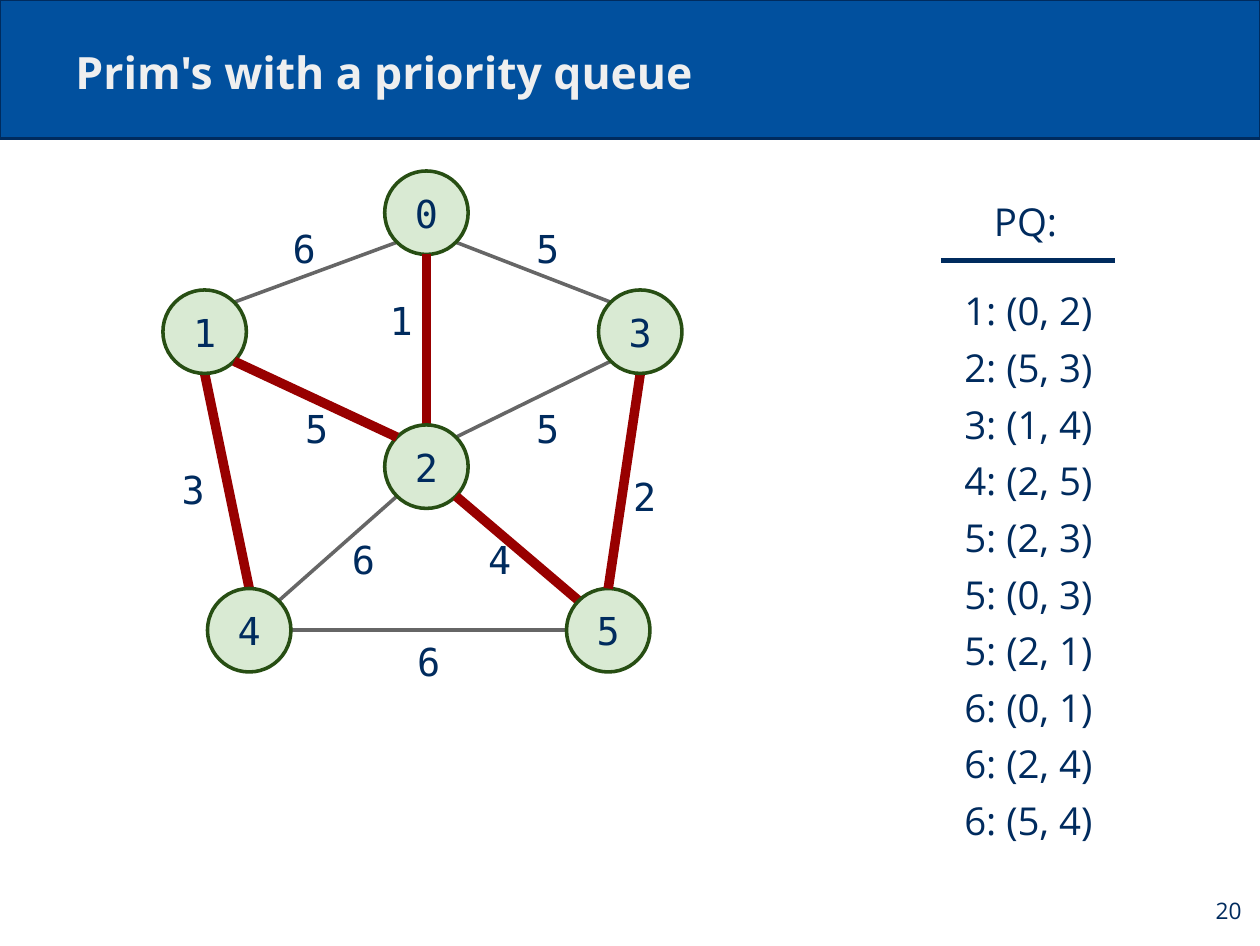
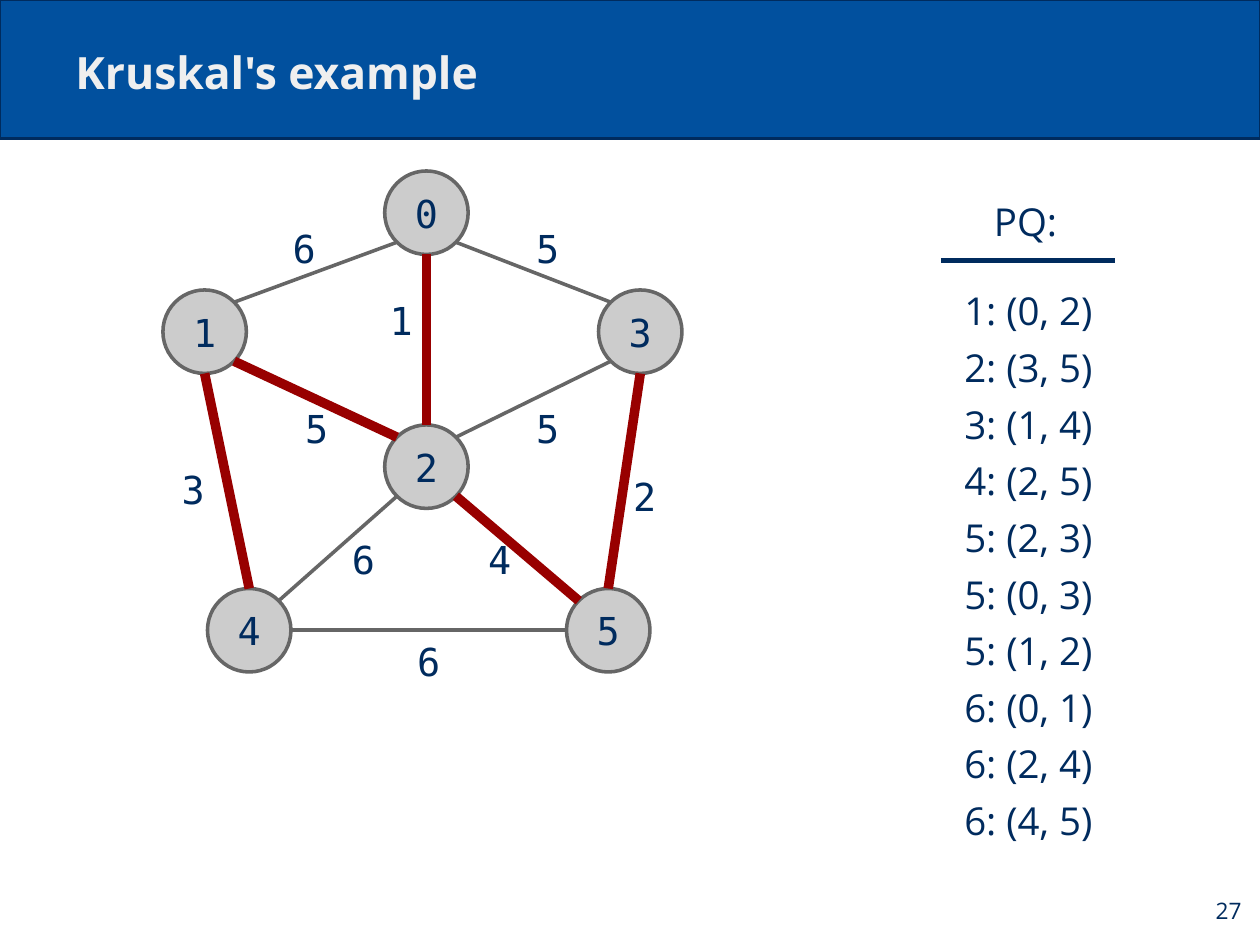
from dataclasses import dataclass

from lxml import etree
from pptx import Presentation
from pptx.dml.color import RGBColor
from pptx.enum import shapes, text
from pptx.oxml.ns import qn
from pptx.util import Inches, Pt


@dataclass(frozen=True)
class Theme:
    band: str = "01509E"
    navy: str = "002B5E"
    title: str = "EFEFEF"
    edge: str = "666666"
    tree: str = "980000"
    sans: str = "Open Sans"
    mono: str = "DejaVu Sans Mono"
    title_size: float = 28
    text_size: float = 24.2
    number_size: float = 14.3
    band_line: float = 1.5
    thin: float = 2.25
    rule: float = 3
    thick: float = 6


THEME = Theme()
WIDTH, HEIGHT = 11.02, 8.27
INSET = 0.11
DIAMETER = 0.73

# Centre of each node
NODES = {
    0: (3.73, 1.86), 1: (1.79, 2.9), 2: (3.73, 4.08),
    3: (5.6, 2.9), 4: (2.18, 5.51), 5: (5.32, 5.51),
}
DIAGONAL = 0.5 ** 0.5
SITES = {
    "N": (0, -1), "S": (0, 1), "W": (-1, 0), "E": (1, 0),
    "NW": (-DIAGONAL, -DIAGONAL), "NE": (DIAGONAL, -DIAGONAL),
    "SW": (-DIAGONAL, DIAGONAL), "SE": (DIAGONAL, DIAGONAL),
}
# Edge: (site on first node, site on second node, weight, centre of weight)
EDGES = {
    (0, 1): ("SW", "NE", 6, (2.66, 2.17)),
    (0, 3): ("SE", "NW", 5, (4.79, 2.17)),
    (0, 2): ("S", "N", 1, (3.51, 2.8)),
    (1, 2): ("SE", "NW", 5, (2.77, 3.74)),
    (2, 3): ("NE", "SW", 5, (4.79, 3.74)),
    (1, 4): ("S", "N", 3, (1.69, 4.28)),
    (3, 5): ("S", "N", 2, (5.64, 4.34)),
    (2, 5): ("SE", "NW", 4, (4.37, 4.89)),
    (2, 4): ("SW", "NE", 6, (3.18, 4.89)),
    (4, 5): ("E", "W", 6, (3.75, 5.78)),
}

# "drawn" lists nodes and tree edges from back to front
SLIDES = [
    {
        "title": "Prim's with a priority queue",
        "number": 20,
        "node_colors": ("D9EAD3", "274E13"),
        "drawn": [0, (0, 2), 2, (2, 5), 5, (3, 5), 3, (1, 4), 4, 1, (1, 2)],
        "queue": ["1: (0, 2)", "2: (5, 3)", "3: (1, 4)", "4: (2, 5)", "5: (2, 3)",
                  "5: (0, 3)", "5: (2, 1)", "6: (0, 1)", "6: (2, 4)", "6: (5, 4)"],
    },
    {
        "title": "Kruskal's example",
        "number": 27,
        "node_colors": ("CCCCCC", "666666"),
        "drawn": [0, 1, 3, 2, 4, 5, (0, 2), (3, 5), (1, 4), (2, 5), (1, 2)],
        "queue": ["1: (0, 2)", "2: (3, 5)", "3: (1, 4)", "4: (2, 5)", "5: (2, 3)",
                  "5: (0, 3)", "5: (1, 2)", "6: (0, 1)", "6: (2, 4)", "6: (4, 5)"],
    },
]
QUEUE_LEFT, QUEUE_TOP, QUEUE_STEP = 8.29, 2.46, 0.5
QUEUE_STEP = 0.495 if len(SLIDES[0]["queue"]) > 9 else QUEUE_STEP


def box(left, top, width, height):
    return [Inches(length) for length in (left, top, width, height)]


def around(center):
    x, y = center
    return box(x - DIAMETER / 2, y - DIAMETER / 2, DIAMETER, DIAMETER)


def set_frame(frame, anchor=text.MSO_ANCHOR.MIDDLE):
    frame.word_wrap = True
    frame.auto_size = text.MSO_AUTO_SIZE.NONE
    frame.vertical_anchor = anchor
    frame.margin_left = frame.margin_right = Inches(INSET)
    frame.margin_top = frame.margin_bottom = Inches(INSET)


def write(frame, words, font=THEME.sans, size=THEME.text_size, color=THEME.navy,
          bold=False, align=text.PP_ALIGN.CENTER):
    paragraph = frame.paragraphs[0]
    paragraph.alignment = align
    run = paragraph.add_run()
    run.text = str(words)
    run.font.name, run.font.size, run.font.bold = font, Pt(size), bold
    run.font.color.rgb = RGBColor.from_string(color)


def add_label(slide, place, words, **style):
    frame = slide.shapes.add_textbox(*place).text_frame
    set_frame(frame)
    write(frame, words, **style)


def set_line(line, color, width):
    line.color.rgb = RGBColor.from_string(color)
    line.width = Pt(width)


def add_filled(slide, kind, place, fill, outline, width):
    shape = slide.shapes.add_shape(kind, *place)
    shape.shadow.inherit = False
    shape.fill.solid()
    shape.fill.fore_color.rgb = RGBColor.from_string(fill)
    set_line(shape.line, outline, width)
    return shape


def add_line(slide, start, end, color, width):
    ends = [Inches(length) for length in (*start, *end)]
    line = slide.shapes.add_connector(shapes.MSO_CONNECTOR.STRAIGHT, *ends)
    set_line(line.line, color, width)
    etree.SubElement(line.element.spPr, qn("a:effectLst"))


def add_edge(slide, edge, color, width):
    ends = []
    for node, site in zip(edge, EDGES[edge]):
        ends.append([center + DIAMETER / 2 * step
                     for center, step in zip(NODES[node], SITES[site])])
    add_line(slide, *ends, color, width)


def add_node(slide, node, colors):
    circle = add_filled(slide, shapes.MSO_SHAPE.OVAL, around(NODES[node]), *colors, THEME.thin)
    set_frame(circle.text_frame)
    write(circle.text_frame, node, font=THEME.mono)


def add_graph(slide, node_colors, drawn):
    for edge in EDGES:
        add_edge(slide, edge, THEME.edge, THEME.thin)
    for *_, weight, center in EDGES.values():
        add_label(slide, around(center), weight, font=THEME.mono)
    for part in drawn:
        if part in EDGES:
            add_edge(slide, part, THEME.tree, THEME.thick)
        else:
            add_node(slide, part, node_colors)


def add_queue(slide, entries):
    add_label(slide, box(8.17, 1.57, 1.6, 0.73), "PQ:")
    add_line(slide, (8.23, 2.28), (9.75, 2.28), THEME.navy, THEME.rule)
    for row, entry in enumerate(entries):
        add_label(slide, box(QUEUE_LEFT, QUEUE_TOP + row * QUEUE_STEP, 1.41, 0.51), entry)


def style_layout(layout, slide):
    """Place the title and move the band, made on the slide, to the layout."""
    title = next(p for p in layout.placeholders
                 if p.placeholder_format.type == shapes.PP_PLACEHOLDER.TITLE)
    title.left, title.top, title.width, title.height = box(0.55, 0.24, 9.92, 0.73)
    set_frame(title.text_frame, text.MSO_ANCHOR.BOTTOM)
    band = add_filled(slide, shapes.MSO_SHAPE.RECTANGLE, box(0, 0, WIDTH, 1.21),
                      THEME.band, THEME.navy, THEME.band_line)
    layout.shapes.element.insert(2, band.element)


def main():
    deck = Presentation()
    deck.slide_width, deck.slide_height = Inches(WIDTH), Inches(HEIGHT)
    layout = deck.slide_layouts.get_by_name("Title Only")
    for index, content in enumerate(SLIDES):
        slide = deck.slides.add_slide(layout)
        if index == 0:
            style_layout(layout, slide)
        write(slide.shapes.title.text_frame, content["title"], size=THEME.title_size,
              color=THEME.title, bold=True, align=text.PP_ALIGN.LEFT)
        add_graph(slide, content["node_colors"], content["drawn"])
        add_queue(slide, content["queue"])
        add_label(slide, box(10.31, 7.64, 0.66, 0.63), content["number"],
                  size=THEME.number_size, align=text.PP_ALIGN.RIGHT)
    deck.save("out.pptx")


if __name__ == "__main__":
    main()
